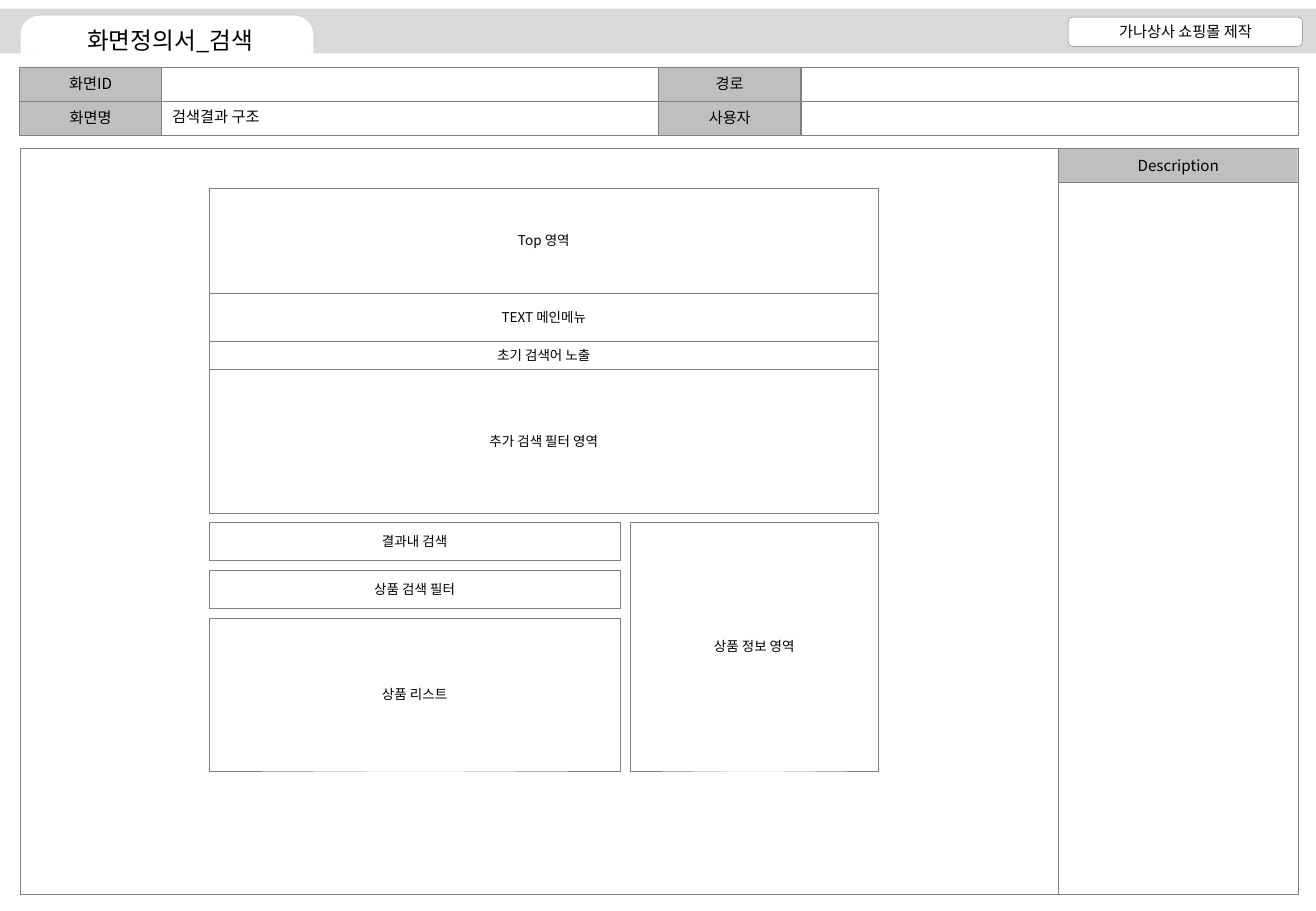
from pptx import Presentation
from pptx import util as u
from pptx.dml.color import RGBColor
from pptx.enum import shapes, text
from pptx.oxml.ns import qn
from lxml import etree

theme = {
    "font": "Noto Sans CJK KR",
    "ink": RGBColor(0x00, 0x00, 0x00),
    "line": RGBColor(0x80, 0x80, 0x80),
    "label": RGBColor(0xBF, 0xBF, 0xBF),
    "band": RGBColor(0xD9, 0xD9, 0xD9),
    "paper": RGBColor(0xFF, 0xFF, 0xFF),
    "title_size": 14,
    "label_size": 9,
    "area_size": 8,
    "line_width": 0.25,
}
RECT = shapes.MSO_SHAPE.RECTANGLE
ROUNDED = shapes.MSO_SHAPE.ROUNDED_RECTANGLE
TAB = shapes.MSO_SHAPE.ROUND_2_SAME_RECTANGLE

deck = Presentation()
deck.slide_width, deck.slide_height = u.Cm(27.51), u.Cm(19.05)
slide = deck.slides.add_slide(deck.slide_layouts[6])


def write(holder, words, size, align):
    """Put one line of text in a shape, in Latin and Korean alike."""
    paragraph = holder.text_frame.paragraphs[0]
    paragraph.text = words
    paragraph.alignment = align
    paragraph.font.size = u.Pt(size)
    paragraph.font.color.rgb = theme["ink"]
    paragraph.font.name = theme["font"]
    for props in holder._element.iter(qn("a:defRPr")):
        etree.SubElement(props, qn("a:ea"), typeface=theme["font"])


def box(left, top, width, height, words="", size=theme["label_size"],
        fill=None, outlined=True, kind=RECT):
    """Add a box, measured in centimetres, with centred text."""
    area = slide.shapes.add_shape(
        kind, u.Cm(left), u.Cm(top), u.Cm(width), u.Cm(height))
    area.shadow.inherit = False
    if fill is None:
        area.fill.background()
    else:
        area.fill.solid()
        area.fill.fore_color.rgb = fill
    if outlined:
        area.line.color.rgb = theme["line"]
        area.line.width = u.Pt(theme["line_width"])
    else:
        area.line.fill.background()
    if words:
        area.text_frame.vertical_anchor = text.MSO_ANCHOR.MIDDLE
        write(area, words, size, text.PP_ALIGN.CENTER)
    return area


# Screen information: two rows of two label and value pairs
info_left, info_top, row_height = 0.41, 1.4, 0.71
label_width, value_width = 2.97, 10.39
info_labels = [["화면ID", "경로"], ["화면명", "사용자"]]
for row, labels in enumerate(info_labels):
    for column, label in enumerate(labels):
        left = info_left + column * (label_width + value_width)
        top = info_top + row * row_height
        box(left, top, label_width, row_height, label, fill=theme["label"])
        box(left + label_width, top, value_width, row_height)

# Canvas and description column
canvas_left, canvas_top, canvas_width, canvas_height = 0.43, 3.1, 21.7, 15.6
description_left, description_width, heading_height = 22.13, 5, 0.72
box(canvas_left, canvas_top, canvas_width, canvas_height)
box(description_left, canvas_top, description_width, heading_height,
    "Description", fill=theme["label"])
box(description_left, canvas_top + heading_height,
    description_width, canvas_height - heading_height)

# Header band with title tab and project name
box(0, 0.18, 27.51, 0.94, fill=theme["band"], outlined=False)
title_tab = box(0.43, 0.33, 6.12, 0.79, fill=theme["paper"],
                outlined=False, kind=TAB)
title_tab.adjustments[0] = 0.5
box(0.76, 0.53, 5.59, 0.61, "화면정의서_검색", theme["title_size"],
    theme["paper"], outlined=False, kind=ROUNDED)
box(22.33, 0.36, 4.9, 0.61, "가나상사 쇼핑몰 제작",
    fill=theme["paper"], kind=ROUNDED)

# Wireframe: full-width areas stacked without gaps
frame_left, frame_width = 4.37, 14
top = 3.93
for words, height in [("Top 영역", 2.2), ("TEXT 메인메뉴", 1),
                      ("초기 검색어 노출", 0.6), ("추가 검색 필터 영역", 3)]:
    box(frame_left, top, frame_width, height, words, theme["area_size"])
    top += height

# Wireframe: result areas on the left, product information on the right
gap, results_top, results_width = 0.2, 10.92, 8.6
top = results_top
for words, height in [("결과내 검색", 0.8), ("상품 검색 필터", 0.8),
                      ("상품 리스트", 3.2)]:
    box(frame_left, top, results_width, height, words, theme["area_size"])
    top += height + gap
box(frame_left + results_width + gap, results_top,
    frame_width - results_width - gap, top - gap - results_top,
    "상품 정보 영역", theme["area_size"])

# Screen name
screen_name = slide.shapes.add_textbox(
    u.Cm(3.35), u.Cm(2.13), u.Cm(2.54), u.Cm(0.64))
screen_name.text_frame.word_wrap = False
screen_name.text_frame.auto_size = text.MSO_AUTO_SIZE.SHAPE_TO_FIT_TEXT
write(screen_name, "검색결과 구조", theme["label_size"], text.PP_ALIGN.LEFT)

deck.save("out.pptx")
